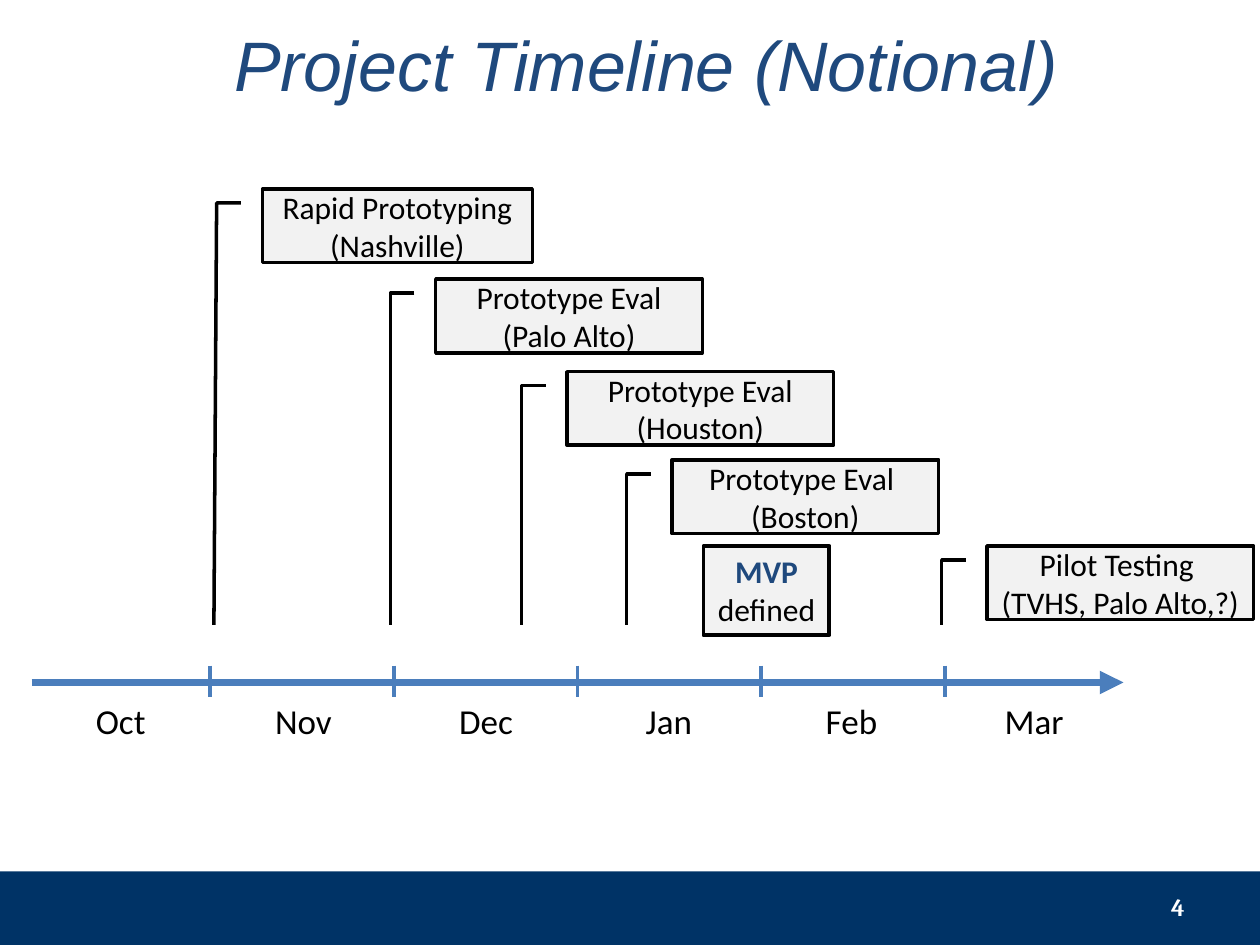
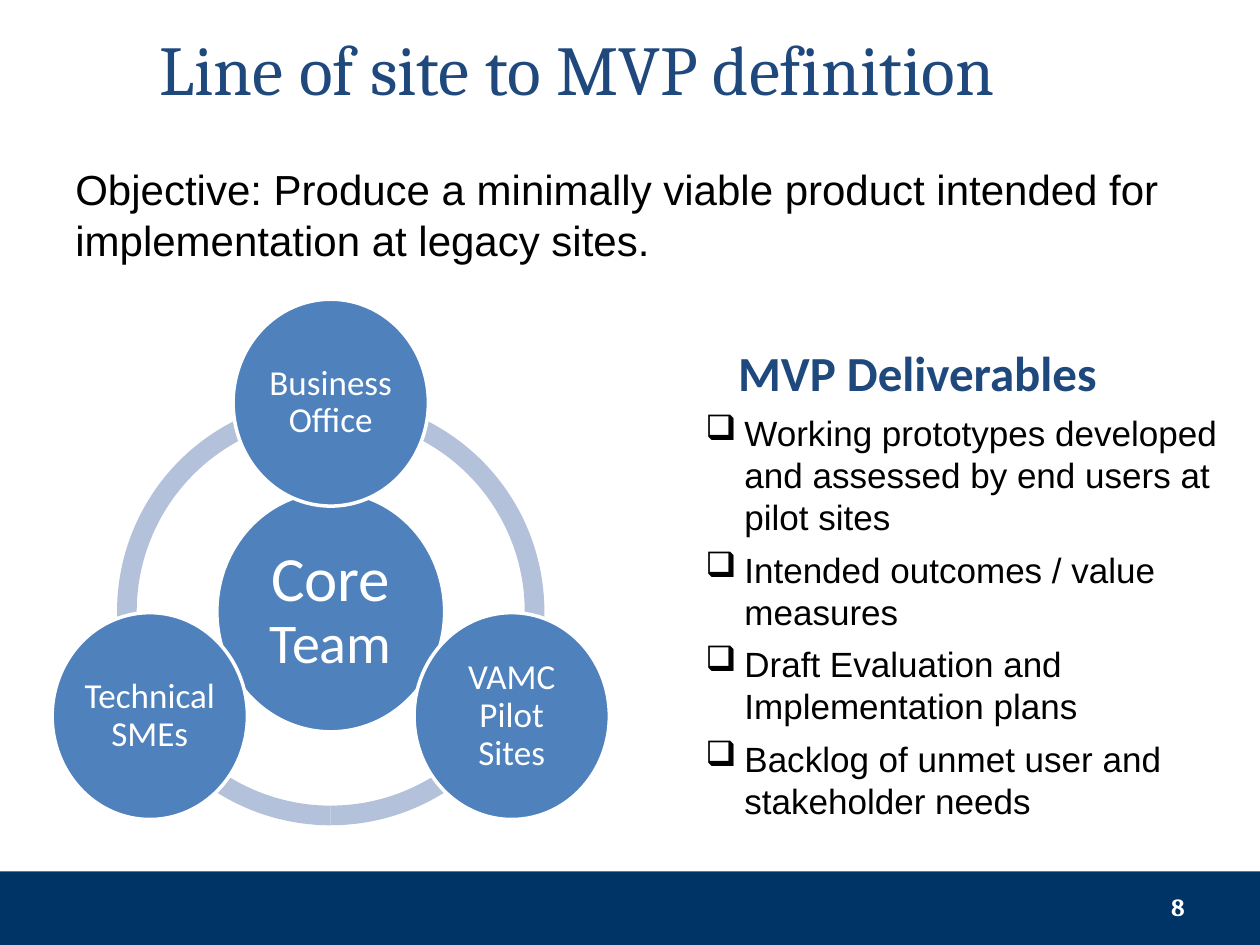
from dataclasses import dataclass
from math import cos, radians, sin

from lxml.etree import SubElement
from pptx import Presentation
from pptx.dml.color import RGBColor
from pptx.enum.shapes import MSO_CONNECTOR, MSO_SHAPE
from pptx.enum.text import MSO_ANCHOR, PP_ALIGN
from pptx.oxml.ns import qn
from pptx.util import Inches, Pt

# The slide is a grid of 120 columns by 90 rows, twelve cells to the inch
COLUMNS, ROWS, CELLS_PER_INCH = 120, 90, 12

NAVY, TITLE_BLUE, AXIS_BLUE = "003366", "1F497D", "4B7EBC"
CIRCLE_BLUE, RING_BLUE = "4F81BD", "B3C1DB"
BLACK, WHITE, PALE_GREY = "000000", "FFFFFF", "F2F2F2"


@dataclass(frozen=True)
class Area:
    column: float
    row: float
    columns: float
    rows: float

    def lengths(self) -> list[int]:
        return [cells(n) for n in (self.column, self.row, self.columns, self.rows)]


@dataclass(frozen=True)
class Style:
    size: float
    name: str = "Calibri"
    color: str = BLACK
    bold: bool = False
    italic: bool = False


@dataclass(frozen=True)
class Milestone:
    text: str
    column: float
    row: float
    columns: float
    leader_end: float  # share of the box width, left of the box


@dataclass(frozen=True)
class Partner:
    text: str
    angle: float


TITLE = Style(40, "Cambria", TITLE_BLUE)
ITALIC_TITLE = Style(40, "Arial", TITLE_BLUE, italic=True)
PAGE_NUMBER = Style(14, "Cambria", WHITE, bold=True)
MONTH = Style(20)
MILESTONE = Style(18)
MVP = Style(18, color=TITLE_BLUE, bold=True)
OBJECTIVE = Style(24, "Arial")
PARTNER = Style(20, color=WHITE)
HEADING = Style(28, color=TITLE_BLUE, bold=True)
DELIVERABLE = Style(20, "Arial")

MONTHS = ("Oct", "Nov", "Dec", "Jan", "Feb", "Mar")
MILESTONES = (
    Milestone("Rapid Prototyping (Nashville)", 25, 18, 25.7, -0.18),
    Milestone("Prototype Eval (Palo Alto)", 41.5, 26.6, 25.4, -0.17),
    Milestone("Prototype Eval (Houston)", 54, 35.4, 25.4, -0.17),
    Milestone("Prototype Eval \n(Boston)", 64, 43.8, 25.4, -0.17),
    Milestone("Pilot Testing \n(TVHS, Palo Alto,?)", 94, 52, 25.4, -0.17),
)
PARTNERS = (
    Partner("Business Office", 270),
    Partner("VAMC Pilot Sites", 30),
    Partner("Technical SMEs", 150),
)
DELIVERABLES = (
    "Working prototypes developed and assessed by end users at pilot sites",
    "Intended outcomes / value measures",
    "Draft Evaluation and Implementation plans",
    "Backlog of unmet user and stakeholder needs",
)


def cells(count: float) -> int:
    return Inches(count / CELLS_PER_INCH)


def rgb(color: str) -> RGBColor:
    return RGBColor.from_string(color)


def centered(column: float, row: float, columns: float, rows: float) -> Area:
    return Area(column - columns / 2, row - rows / 2, columns, rows)


# Text
def set_font(font, style: Style) -> None:
    font.size, font.name = Pt(style.size), style.name
    font.bold, font.italic = style.bold, style.italic
    font.color.rgb = rgb(style.color)


def add_spans(para, *spans: tuple[str, Style]) -> None:
    for text, style in spans:
        span = para.add_run()
        span.text = text
        set_font(span.font, style)


def write(frame, text: str, style: Style, align=PP_ALIGN.LEFT,
          anchor=MSO_ANCHOR.TOP) -> None:
    frame.word_wrap = True
    frame.vertical_anchor = anchor
    frame.text = text
    for para in frame.paragraphs:
        para.alignment = align
        set_font(para.font, style)


def add_text(page, area: Area, text: str, style: Style, **layout):
    box = page.shapes.add_textbox(*area.lengths())
    write(box.text_frame, text, style, **layout)
    return box.text_frame


def set_indent(para, left: float, first: float = 0, bullet: str = "") -> None:
    properties = para._p.get_or_add_pPr()
    properties.set("marL", str(Inches(left)))
    properties.set("indent", str(Inches(first)))
    if bullet:
        mark = properties.makeelement(qn("a:buChar"), {"char": bullet})
        properties.insert_element_before(
            mark, "a:tabLst", "a:defRPr", "a:extLst")


# Shapes and lines
def add_box(page, kind: MSO_SHAPE, area: Area, fill: str,
            line: str = "", width: float = 2):
    box = page.shapes.add_shape(kind, *area.lengths())
    box.shadow.inherit = False
    box.fill.solid()
    box.fill.fore_color.rgb = rgb(fill)
    if line:
        box.line.color.rgb = rgb(line)
        box.line.width = Pt(width)
    else:
        box.line.fill.background()
    return box


def add_line(page, start: tuple[float, float], end: tuple[float, float],
             width: float, arrow: bool = False) -> None:
    line = page.shapes.add_connector(
        MSO_CONNECTOR.STRAIGHT, *map(cells, start + end))
    line.line.color.rgb = rgb(AXIS_BLUE)
    line.line.width = Pt(width)
    if arrow:
        SubElement(line.line._get_or_add_ln(), qn("a:tailEnd"), type="triangle")
    SubElement(line._element.spPr, qn("a:effectLst"))


# What the slides share: footer band, page number and title
def add_page(deck, title: str, area: Area, style: Style, align, number: int):
    page = deck.slides.add_slide(deck.slide_layouts[5])
    add_box(page, MSO_SHAPE.RECTANGLE, Area(0, ROWS - 7, COLUMNS, 7), NAVY)
    heading = page.shapes.title
    heading.left, heading.top, heading.width, heading.height = area.lengths()
    write(heading.text_frame, title, style, align, MSO_ANCHOR.MIDDLE)
    add_text(page, Area(86, 84, 28, 4.8), str(number), PAGE_NUMBER,
             align=PP_ALIGN.RIGHT, anchor=MSO_ANCHOR.MIDDLE)
    return page


def build_timeline(deck) -> None:
    page = add_page(deck, "Project Timeline (Notional)", Area(17, 1, 89, 10),
                    ITALIC_TITLE, PP_ALIGN.CENTER, 4)

    # Month axis
    axis_row, leader_row = 65, 59.5
    add_line(page, (3, axis_row), (107, axis_row), 4.5, arrow=True)
    for index, month in enumerate(MONTHS):
        add_text(page, Area(3 + 17.4 * index, 66, 17, 5.3), month, MONTH,
                 align=PP_ALIGN.CENTER)
    for index in range(len(MONTHS) - 1):
        column = 20 + 17.5 * index
        add_line(page, (column, 63.4), (column, 66.4), 2.25)

    # Milestones with leaders down to the axis
    height = 7
    for item in MILESTONES:
        box = add_box(page, MSO_SHAPE.LINE_CALLOUT_2,
                      Area(item.column, item.row, item.columns, height),
                      PALE_GREY, BLACK)
        leader = (0.19, -0.08, 0.19, -0.17,
                  (leader_row - item.row) / height, item.leader_end)
        for index, share in enumerate(leader):
            box.adjustments[index] = share
        write(box.text_frame, item.text, MILESTONE,
              PP_ALIGN.CENTER, MSO_ANCHOR.MIDDLE)

    # MVP marker
    marker = add_box(page, MSO_SHAPE.RECTANGLE, Area(67, 52, 12, 8.5),
                     PALE_GREY, BLACK, 2.25)
    write(marker.text_frame, "", MILESTONE, PP_ALIGN.CENTER)
    add_spans(marker.text_frame.paragraphs[0],
              ("MVP ", MVP), ("defined", MILESTONE))


def add_circle(page, area: Area, inset: float):
    circle = add_box(page, MSO_SHAPE.OVAL, area, CIRCLE_BLUE, WHITE)
    frame = circle.text_frame
    frame.margin_left = frame.margin_right = Inches(inset)
    frame.margin_top = frame.margin_bottom = Inches(inset)
    return frame


def build_definition(deck) -> None:
    page = add_page(deck, "Line of site to MVP definition",
                    Area(14, 1.4, 95, 10), TITLE, PP_ALIGN.LEFT, 8)
    objective = add_text(
        page, Area(6, 15, 108, 12),
        "Objective: Produce a minimally viable product intended for "
        "implementation at legacy sites.", OBJECTIVE)
    objective.paragraphs[0].space_before = Pt(4.8)

    # Ring of three arcs; angles are stored in units of 100000/60000 degree
    hub, orbit, ring = (31.5, 58.25), 19.9, 40.7
    for start, end in ((90, 162), (18, 90), (162, 18)):
        arc = add_box(page, MSO_SHAPE.BLOCK_ARC,
                      centered(*hub, ring, ring), RING_BLUE)
        for index, value in enumerate((start * 0.6, end * 0.6, 0.046)):
            arc.adjustments[index] = value

    # Core team and its partners
    core = add_circle(page, centered(*hub, 21.7, 22.9), 0.05)
    write(core, "", PARTNER, PP_ALIGN.CENTER, MSO_ANCHOR.MIDDLE)
    core.paragraphs[0].line_spacing = 0.9
    add_spans(core.paragraphs[0], ("Core ", Style(36, color=WHITE)),
              ("Team", Style(32, color=WHITE)))
    for partner in PARTNERS:
        angle = radians(partner.angle)
        area = centered(hub[0] + orbit * cos(angle),
                        hub[1] + orbit * sin(angle), 18.6, 19.7)
        frame = add_circle(page, area, 0.03)
        write(frame, partner.text, PARTNER, PP_ALIGN.CENTER, MSO_ANCHOR.MIDDLE)
        frame.paragraphs[0].line_spacing = 0.9

    # Deliverables
    frame = add_text(page, Area(60, 32, 60, 47.3),
                     "\n".join(("MVP Deliverables", *DELIVERABLES)), DELIVERABLE)
    heading, *items = frame.paragraphs
    set_font(heading.font, HEADING)
    set_indent(heading, 0.76)
    for para in items:
        set_indent(para, 0.81, -0.31, "❑")
    for para in frame.paragraphs:
        para.space_after = Pt(6)


def main() -> None:
    deck = Presentation()
    deck.slide_width, deck.slide_height = cells(COLUMNS), cells(ROWS)
    build_timeline(deck)
    build_definition(deck)
    deck.save("out.pptx")


if __name__ == "__main__":
    main()
